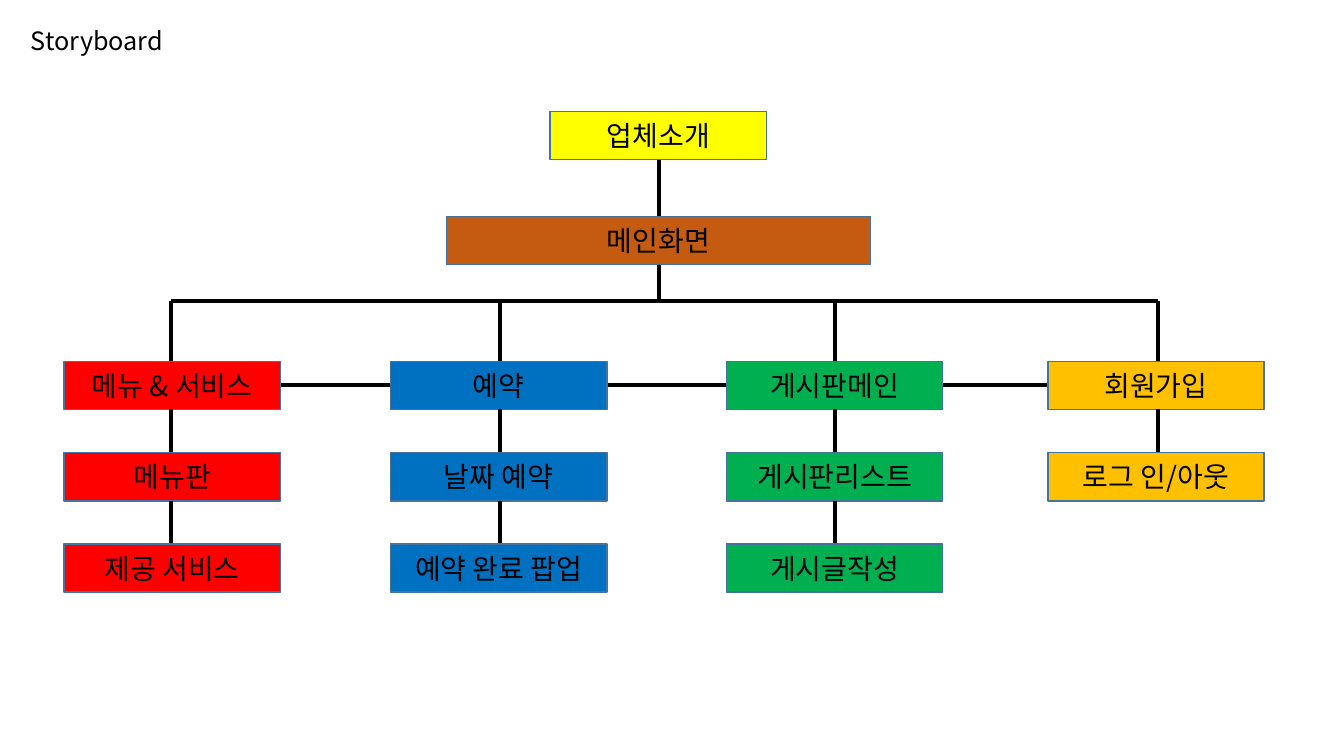
from pptx import Presentation
from pptx import util as u
from pptx.dml.color import RGBColor
from pptx.enum import shapes, text
from pptx.oxml.ns import qn
from lxml import etree

PX = 9525
FONT = "Noto Sans CJK KR"
BLACK = RGBColor(0x00, 0x00, 0x00)
BORDER = RGBColor(0x43, 0x73, 0x9E)
YELLOW = RGBColor(0xFF, 0xFF, 0x00)
BROWN = RGBColor(0xC5, 0x5A, 0x11)
RED = RGBColor(0xFF, 0x00, 0x00)
BLUE = RGBColor(0x00, 0x70, 0xC0)
GREEN = RGBColor(0x00, 0xB0, 0x50)
AMBER = RGBColor(0xFF, 0xC0, 0x00)

BOX_WIDTH, BOX_HEIGHT = 206, 46
ROW_TOP, ROW_STEP = 344, 87
TRUNK_X, BUS_Y = 628, 287
INTRO_TOP, MAIN_TOP = 106, 206

BRANCHES = [
    (61, 163, RED, ["메뉴 & 서비스", "메뉴판", "제공 서비스"]),
    (372, 476, BLUE, ["예약", "날짜 예약", "예약 완료 팝업"]),
    (692, 795, GREEN, ["게시판메인", "게시판리스트", "게시글작성"]),
    (998, 1103, AMBER, ["회원가입", "로그 인/아웃"]),
]


def px(*lengths):
    return [u.Emu(length * PX) for length in lengths]


def write(frame, content, size=20, align=text.PP_ALIGN.CENTER, wrap=True):
    frame.word_wrap = wrap
    paragraph = frame.paragraphs[0]
    paragraph.alignment = align
    run = paragraph.add_run()
    run.text = content
    run.font.size = u.Pt(size)
    run.font.color.rgb = BLACK
    run.font.name = FONT
    east_asian = etree.SubElement(run.font._element, qn("a:ea"))
    east_asian.set("typeface", FONT)


def add_title(slide, content):
    box = slide.shapes.add_textbox(*px(20, 19, 147, 38))
    write(box.text_frame, content, size=18, align=text.PP_ALIGN.LEFT, wrap=False)


def add_box(slide, content, left, top, fill, width=BOX_WIDTH):
    shape = slide.shapes.add_shape(
        shapes.MSO_SHAPE.RECTANGLE, *px(left, top, width, BOX_HEIGHT))
    shape.shadow.inherit = False
    shape.fill.solid()
    shape.fill.fore_color.rgb = fill
    shape.line.color.rgb = BORDER
    shape.line.width = u.Pt(1)
    shape.text_frame.vertical_anchor = text.MSO_ANCHOR.MIDDLE
    write(shape.text_frame, content)


def add_line(slide, x1, y1, x2, y2):
    connector = slide.shapes.add_connector(
        shapes.MSO_CONNECTOR.STRAIGHT, *px(x1, y1, x2, y2))
    connector.line.color.rgb = BLACK
    connector.line.width = u.Pt(3)
    etree.SubElement(connector._element.spPr, qn("a:effectLst"))


def add_branch(slide, left, spine, fill, labels):
    line_top = BUS_Y
    for row, label in enumerate(labels):
        top = ROW_TOP + row * ROW_STEP
        add_line(slide, spine, line_top, spine, top)
        add_box(slide, label, left, top, fill)
        line_top = top + BOX_HEIGHT


def main():
    presentation = Presentation()
    presentation.slide_width, presentation.slide_height = px(1280, 720)
    slide = presentation.slides.add_slide(presentation.slide_layouts[6])

    add_title(slide, "Storyboard")
    add_line(slide, TRUNK_X, INTRO_TOP + BOX_HEIGHT, TRUNK_X, MAIN_TOP)
    add_line(slide, TRUNK_X, MAIN_TOP + BOX_HEIGHT, TRUNK_X, BUS_Y)
    first_spine, last_spine = BRANCHES[0][1], BRANCHES[-1][1]
    row_middle = ROW_TOP + BOX_HEIGHT // 2
    for y in (BUS_Y, row_middle):
        add_line(slide, first_spine, y, last_spine, y)

    add_box(slide, "업체소개", 524, INTRO_TOP, YELLOW)
    add_box(slide, "메인화면", 425, MAIN_TOP, BROWN, width=404)
    for branch in BRANCHES:
        add_branch(slide, *branch)

    presentation.save("out.pptx")


if __name__ == "__main__":
    main()
